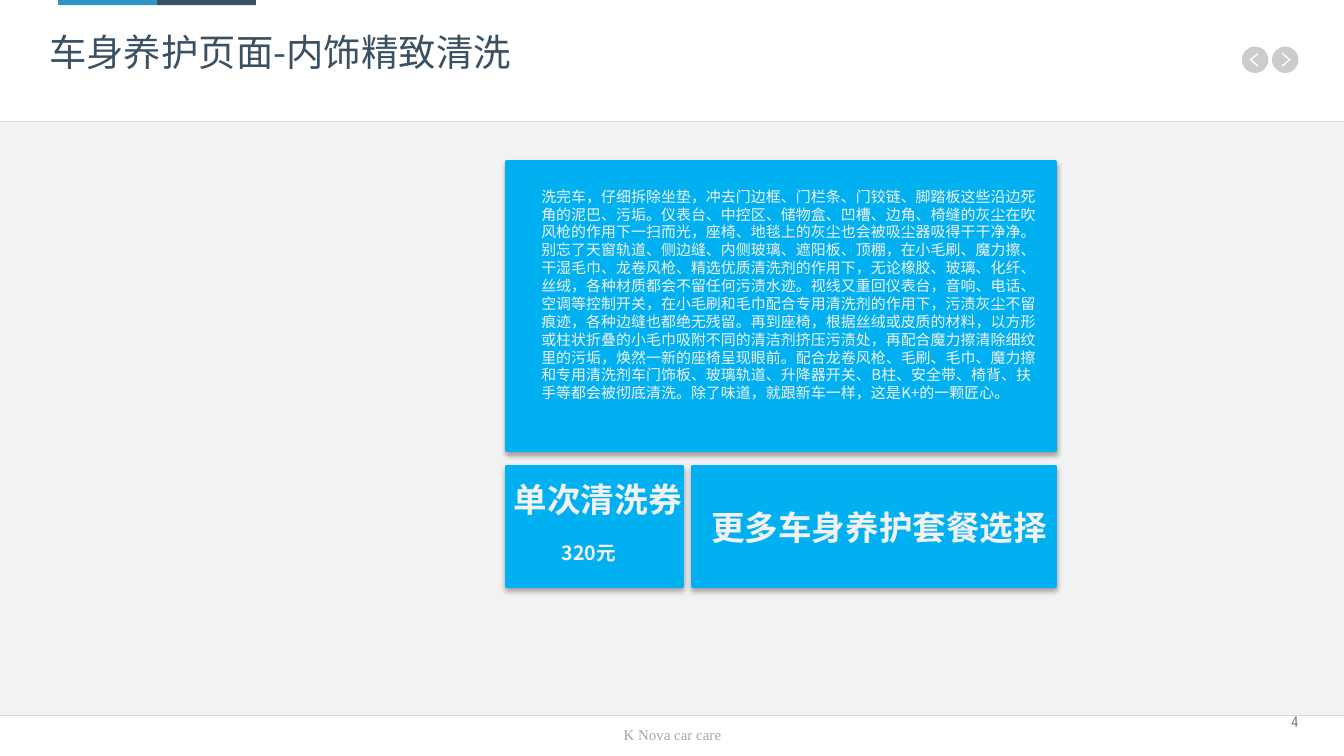
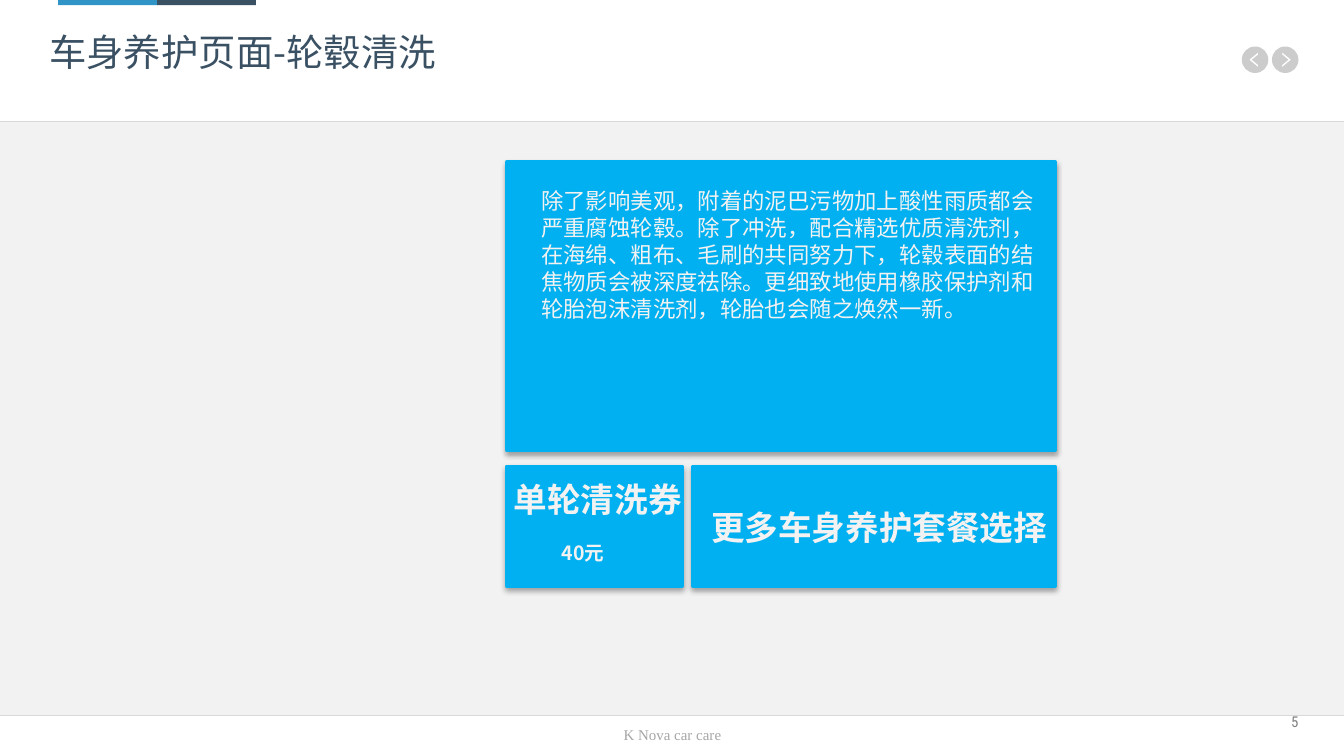
from dataclasses import dataclass

from lxml import etree
from pptx import Presentation
from pptx import util as u
from pptx.dml import color
from pptx.enum import shapes, text
from pptx.oxml import ns

CJK_FONT = "Noto Sans CJK SC"
NAVY, SKY, PALE = "3A5063", "00B0F0", "F2F2F2"
WIDTH, HEIGHT = 25.4, 14.29
HEADER_BOTTOM, FOOTER_TOP = 2.3, 13.52
CARD_BOX = (9.58, 3.06, 10.36, 8.02)


@dataclass
class Service:
    """One car care service shown on a slide."""

    page: int
    name: str
    description: str
    description_size: float
    description_height: float
    coupon: str
    price: str


SERVICES = [
    Service(
        4,
        "内饰精致清洗",
        "洗完车，仔细拆除坐垫，冲去门边框、门栏条、门铰链、脚踏板这些沿边死角的泥巴、污垢。"
        "仪表台、中控区、储物盒、凹槽、边角、椅缝的灰尘在吹风枪的作用下一扫而光，"
        "座椅、地毯上的灰尘也会被吸尘器吸得干干净净。"
        "别忘了天窗轨道、侧边缝、内侧玻璃、遮阳板、顶棚，在小毛刷、魔力擦、干湿毛巾、"
        "龙卷风枪、精选优质清洗剂的作用下，无论橡胶、玻璃、化纤、丝绒，"
        "各种材质都会不留任何污渍水迹。视线又重回仪表台，音响、电话、空调等控制开关，"
        "在小毛刷和毛巾配合专用清洗剂的作用下，污渍灰尘不留痕迹，各种边缝也都绝无残留。"
        "再到座椅，根据丝绒或皮质的材料，以方形或柱状折叠的小毛巾吸附不同的清洁剂挤压污渍处，"
        "再配合魔力擦清除细纹里的污垢，焕然一新的座椅呈现眼前。"
        "配合龙卷风枪、毛刷、毛巾、魔力擦和专用清洗剂车门饰板、玻璃轨道、升降器开关、B柱、"
        "安全带、椅背、扶手等都会被彻底清洗。除了味道，就跟新车一样，这是K+的一颗匠心。",
        8,
        4.37,
        "单次清洗券",
        "320元",
    ),
    Service(
        5,
        "轮毂清洗",
        "除了影响美观，附着的泥巴污物加上酸性雨质都会严重腐蚀轮毂。"
        "除了冲洗，配合精选优质清洗剂，在海绵、粗布、毛刷的共同努力下，"
        "轮毂表面的结焦物质会被深度祛除。"
        "更细致地使用橡胶保护剂和轮胎泡沫清洗剂，轮胎也会随之焕然一新。",
        12,
        2.82,
        "单轮清洗券",
        "40元",
    ),
]


def rgb(value):
    """Turn a hex string into a colour."""
    return color.RGBColor.from_string(value)


def lengths(*values):
    """Turn centimetres into lengths."""
    return [u.Cm(value) for value in values]


def write(frame, content, size, ink, font=CJK_FONT, bold=False,
          align=text.PP_ALIGN.LEFT, anchor=text.MSO_ANCHOR.TOP, inset=0.13):
    """Write one formatted run into a text frame."""
    frame.word_wrap = True
    frame.auto_size = text.MSO_AUTO_SIZE.NONE
    frame.vertical_anchor = anchor
    frame.margin_left = frame.margin_right = u.Cm(inset)
    frame.margin_top = frame.margin_bottom = u.Cm(inset)
    paragraph = frame.paragraphs[0]
    paragraph.alignment = align
    run = paragraph.add_run()
    run.text = content
    run.font.name, run.font.size, run.font.bold = font, u.Pt(size), bold
    run.font.color.rgb = rgb(ink)
    latin = run.font._element.find(ns.qn("a:latin"))
    east_asian = etree.Element(ns.qn("a:ea"), typeface=font)
    latin.addnext(east_asian)


def add_label(slide, box, content, size, ink, **style):
    """Add a text box."""
    label = slide.shapes.add_textbox(*lengths(*box))
    write(label.text_frame, content, size, ink, **style)


def add_band(slide, box, fill):
    """Add a plain filled rectangle."""
    band = slide.shapes.add_shape(shapes.MSO_SHAPE.RECTANGLE, *lengths(*box))
    band.shadow.inherit = False
    band.fill.solid()
    band.fill.fore_color.rgb = rgb(fill)
    band.line.fill.background()
    return band


def add_rule(slide, top):
    """Add a thin grey line across the slide."""
    rule = slide.shapes.add_connector(
        shapes.MSO_CONNECTOR.STRAIGHT, *lengths(0, top, WIDTH, top))
    rule.line.color.rgb = rgb("D9D9D9")
    rule.line.width = u.Pt(0.25)
    etree.SubElement(rule.element.spPr, ns.qn("a:effectLst"))


def curve_segments(segments):
    """Merge each three straight segments into one Bezier curve."""
    for start in range(0, len(segments), 3):
        curve = etree.Element(ns.qn("a:cubicBezTo"))
        segments[start].addprevious(curve)
        for segment in segments[start:start + 3]:
            curve.append(segment[0])
            segment.getparent().remove(segment)


def add_arrow_button(slide, center_x, center_y, direction):
    """Add a translucent disc with a cut-out chevron; direction is 1 or -1."""
    radius, handle = 0.25, 0.14
    chevron = [(-0.06, -0.14), (-0.06, -0.1), (0.06, 0),
               (-0.06, 0.1), (-0.06, 0.14), (0.11, 0)]
    disc = [(0, -radius)]
    for x, y in ((1, 0), (0, 1), (-1, 0), (0, -1)):
        disc += [(radius * y + handle * x, handle * y - radius * x),
                 (radius * x + handle * y, radius * y - handle * x),
                 (radius * x, radius * y)]
    chevron, disc = (
        [lengths(center_x + direction * x, center_y + y) for x, y in outline]
        for outline in (chevron, disc))
    builder = slide.shapes.build_freeform(*chevron[0])
    builder.add_line_segments(chevron[1:], close=True)
    builder.move_to(*disc[0])
    builder.add_line_segments(disc[1:], close=True)
    button = builder.convert_to_shape()
    segments = list(button.element.iter(ns.qn("a:lnTo")))
    curve_segments(segments[1 - len(disc):])
    button.shadow.inherit = False
    button.fill.solid()
    button.fill.fore_color.rgb = rgb("000000")
    button.line.fill.background()
    ink = button.element.spPr.find(".//" + ns.qn("a:srgbClr"))
    etree.SubElement(ink, ns.qn("a:alpha"), val="20000")


def add_frame(slide):
    """Draw the shared bands, rules, buttons and footer."""
    add_band(slide, (0, 0, WIDTH, HEADER_BOTTOM), "FFFFFF")
    add_band(slide, (0, FOOTER_TOP, WIDTH, HEIGHT - FOOTER_TOP), "FFFFFF")
    for top in (HEADER_BOTTOM, FOOTER_TOP):
        add_rule(slide, top)
    for index, fill in enumerate(("3194C6", NAVY)):
        add_band(slide, (1.1 + index * 1.87, 0, 1.87, 0.1), fill)
    add_label(slide, (9.27, 13.59, 6.88, 0.61), "K Nova car care", 8, "A6A6A6",
              font="Times New Roman", align=text.PP_ALIGN.CENTER)
    for center_x, direction in ((24.29, 1), (23.72, -1)):
        add_arrow_button(slide, center_x, 1.13, direction)


def share_frame(slide):
    """Draw the frame and move it to the layout of the slide."""
    before = list(slide.shapes)
    add_frame(slide)
    layout_tree = slide.slide_layout.element.cSld.spTree
    for shape in list(slide.shapes)[len(before):]:
        layout_tree.append(shape.element)


def add_panel(slide, box):
    """Add a blue panel with a soft shadow below it."""
    panel = add_band(slide, box, SKY)
    panel.line.color.rgb = rgb(SKY)
    panel.line.width = u.Pt(2)
    effects = panel.element.spPr.find(ns.qn("a:effectLst"))
    shadow = etree.SubElement(
        effects, ns.qn("a:outerShdw"), blurRad=str(u.Pt(3)), dist=str(u.Pt(1.8)),
        dir="5400000", algn="ctr", rotWithShape="0")
    ink = etree.SubElement(shadow, ns.qn("a:srgbClr"), val="000000")
    etree.SubElement(ink, ns.qn("a:alpha"), val="35000")


def add_description(slide, box, service):
    """Add the panel that describes the service."""
    left, top, width, height = box
    add_panel(slide, box)
    add_label(slide, (left + 0.52, top + 0.35, 9.7, service.description_height),
              service.description, service.description_size, PALE)


def add_coupon(slide, box, service):
    """Add the panel with the coupon and its price."""
    left, top, width, height = box
    add_panel(slide, box)
    add_label(slide, (left, top + 0.1, width + 0.15, 1.02), service.coupon, 18,
              PALE, bold=True)
    add_label(slide, (left + 0.91, top + 1.27, 1.83, 0.71), service.price, 10.5,
              PALE, bold=True)


def add_more_choices(slide, box):
    """Add the panel that leads to further packages."""
    left, top, width, height = box
    add_panel(slide, box)
    add_label(slide, (left + 0.21, top + 0.63, width, 1.02), "更多车身养护套餐选择",
              18, PALE, bold=True)


def add_service_card(slide, box, service):
    """Lay out the description above the coupon and the further choices."""
    left, top, width, height = box
    coupon_width, lower_height, column_gap, row_gap = 3.31, 2.26, 0.21, 0.31
    lower_top = top + height - lower_height
    more_left = left + coupon_width + column_gap
    add_coupon(slide, (left, lower_top, coupon_width, lower_height), service)
    add_description(
        slide, (left, top, width, height - lower_height - row_gap), service)
    add_more_choices(
        slide, (more_left, lower_top, left + width - more_left, lower_height))


def add_service_slide(presentation, layout, service):
    """Add a slide with title, page number and service card."""
    slide = presentation.slides.add_slide(layout)
    title = slide.shapes.title
    title.left, title.top, title.width, title.height = lengths(0.8, 0.43, 16.48, 1.19)
    write(title.text_frame, f"车身养护页面-{service.name}", 20, NAVY)
    add_label(slide, (23.5, 13.46, 1.04, 0.36), str(service.page), 8, "808080",
              font="Roboto Condensed", align=text.PP_ALIGN.RIGHT,
              anchor=text.MSO_ANCHOR.MIDDLE, inset=0)
    add_service_card(slide, CARD_BOX, service)
    return slide


def main():
    """Build and save the presentation."""
    presentation = Presentation()
    presentation.slide_width, presentation.slide_height = lengths(WIDTH, HEIGHT)
    background = presentation.slide_master.background.fill
    background.solid()
    background.fore_color.rgb = rgb(PALE)
    layout = presentation.slide_layouts.get_by_name("Title Only")
    slides = [add_service_slide(presentation, layout, service) for service in SERVICES]
    share_frame(slides[0])
    presentation.save("out.pptx")


if __name__ == "__main__":
    main()
